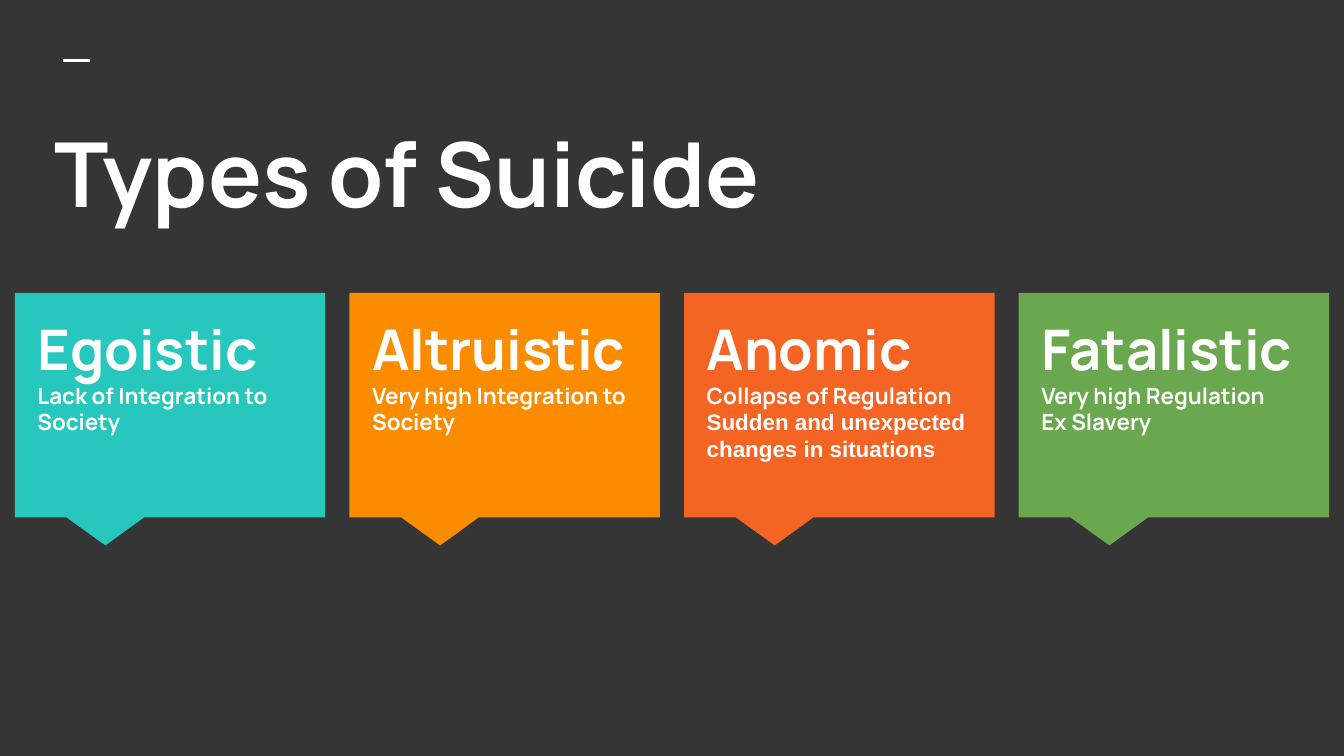
from lxml import etree
from pptx import Presentation
from pptx.dml.color import RGBColor
from pptx.enum import shapes, text
from pptx.oxml.ns import qn
from pptx.util import Inches, Pt

WHITE = "FFFFFF"
HEADING = {"name": "Manrope", "size": Pt(30), "bold": True}
DETAIL = {**HEADING, "size": Pt(12)}
ARIAL_DETAIL = {**DETAIL, "name": "Arial"}
TITLE = {**HEADING, "size": Pt(48)}


def color(value):
    return RGBColor.from_string(value)


def add_text(left, top, width, height, lines):
    """Add a text box; lines holds (wording, font format) pairs."""
    box = slide.shapes.add_textbox(
        Inches(left), Inches(top), Inches(width), Inches(height))
    frame = box.text_frame
    frame.word_wrap = True
    frame.vertical_anchor = text.MSO_ANCHOR.TOP
    for side in ("left", "top", "right", "bottom"):
        setattr(frame, f"margin_{side}", Inches(0.1))
    for index, (wording, font_format) in enumerate(lines):
        paragraph = frame.add_paragraph() if index else frame.paragraphs[0]
        run = paragraph.add_run()
        run.text = wording
        for name, value in font_format.items():
            setattr(run.font, name, value)
        run.font.color.rgb = color(WHITE)
        if font_format["size"] == DETAIL["size"]:
            paragraph.line_spacing = Pt(14.4)


presentation = Presentation()
presentation.slide_width = Inches(10)
presentation.slide_height = Inches(10 * 9 / 16)
slide = presentation.slides.add_slide(presentation.slide_layouts[6])
slide.background.fill.solid()
slide.background.fill.fore_color.rgb = color("353535")

dash = slide.shapes.add_connector(
    shapes.MSO_CONNECTOR.STRAIGHT,
    Inches(0.47), Inches(0.45), Inches(0.67), Inches(0.45))
dash.line.color.rgb = color(WHITE)
dash.line.width = Pt(1.5)
etree.SubElement(dash._element.spPr, qn("a:effectLst"))

add_text(0.31, 0.78, 9.43, 1.12, [("Types of Suicide", TITLE)])

cards = [
    ("27C7BD", [("Egoistic", HEADING),
                ("Lack of Integration to Society", DETAIL)]),
    ("FB8C00", [("Altruistic", HEADING),
                ("Very high Integration to Society", DETAIL)]),
    ("F46524", [("Anomic", HEADING),
                ("Collapse of Regulation", DETAIL),
                ("Sudden and unexpected changes in situations", ARIAL_DETAIL)]),
    ("6AA84F", [("Fatalistic", HEADING),
                ("Very high Regulation", DETAIL),
                ("Ex Slavery", DETAIL)]),
]
for column, (fill, lines) in enumerate(cards):
    left = 0.11 + column * 2.49
    callout = slide.shapes.add_shape(
        shapes.MSO_SHAPE.RECTANGULAR_CALLOUT,
        Inches(left), Inches(2.18), Inches(2.31), Inches(1.67))
    callout.adjustments[0] = -0.208
    callout.adjustments[1] = 0.625
    callout.shadow.inherit = False
    callout.fill.solid()
    callout.fill.fore_color.rgb = color(fill)
    callout.line.fill.background()
    add_text(left + 0.07, 2.24, 2.18, 1.49, lines)

presentation.save("out.pptx")
